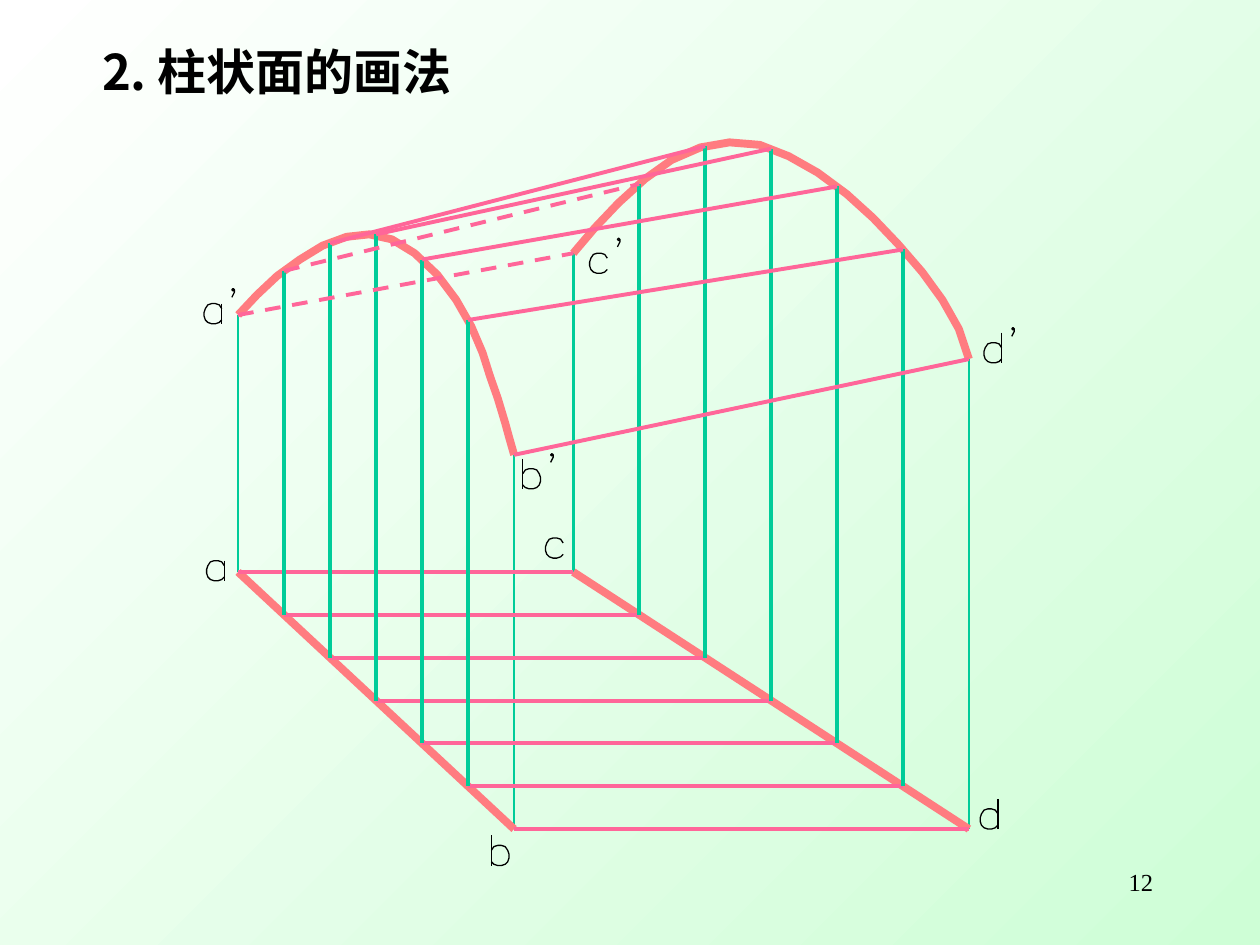
from lxml.etree import SubElement
from pptx import Presentation
from pptx.dml.color import RGBColor
from pptx.enum.dml import MSO_LINE
from pptx.enum.shapes import MSO_CONNECTOR
from pptx.enum.text import MSO_ANCHOR, PP_ALIGN
from pptx.oxml.ns import qn
from pptx.util import Inches, Pt

GREEN, PINK, CORAL, BLACK = "00CC99", "FF6699", "FF7C80", "000000"
STEPS = 6

# Plan corners and the heights of both arches above each station
A, B, C, D = (1.89, 4.54), (4.08, 6.58), (4.55, 4.54), (7.69, 6.58)
FRONT_TOPS = [2.5, 2.15, 1.93, 1.86, 2.06, 2.54, 3.61]
BACK_TOPS = [2.01, 1.46, 1.16, 1.18, 1.48, 1.98, 2.85]

FRONT_ARCH = [
    (1.89, 2.5), (2.04, 2.34), (2.2, 2.19), (2.38, 2.06), (2.56, 1.95),
    (2.75, 1.88), (2.93, 1.86), (3.11, 1.9), (3.29, 2.01), (3.47, 2.18),
    (3.62, 2.38), (3.74, 2.59), (3.83, 2.8), (3.89, 2.99), (3.95, 3.16),
    (4.01, 3.36), (4.04, 3.47), (4.08, 3.61)]
BACK_ARCH = [
    (4.55, 2.01), (4.72, 1.81), (4.91, 1.61), (5.12, 1.42), (5.33, 1.27),
    (5.56, 1.17), (5.79, 1.13), (6.03, 1.15), (6.26, 1.24), (6.49, 1.37),
    (6.72, 1.54), (6.93, 1.73), (7.13, 1.94), (7.32, 2.16), (7.48, 2.38),
    (7.61, 2.61), (7.69, 2.85)]

# Strokes of the single-line lettering, from the top left of the bowl
BOWL_W = 0.14
BOWL = [
    (0.14, 0.04), (0.12, 0.01), (0.09, 0), (0.06, 0), (0.03, 0.01),
    (0.01, 0.04), (0, 0.07), (0, 0.1), (0.01, 0.13), (0.03, 0.15),
    (0.06, 0.16), (0.09, 0.16), (0.12, 0.15), (0.14, 0.13)]
PRIME = [
    (0.24, -0.11), (0.23, -0.1), (0.22, -0.11), (0.23, -0.12),
    (0.24, -0.11), (0.24, -0.09), (0.23, -0.07), (0.22, -0.05)]
STEMS = {
    "a": [(BOWL_W, 0), (BOWL_W, 0.16)],
    "b": [(0, -0.08), (0, 0.16)],
    "d": [(BOWL_W, -0.08), (BOWL_W, 0.16)]}
LABELS = [
    ("a", 1.64, 4.45), ("b", 3.9, 6.71), ("c", 4.33, 4.27), ("d", 7.78, 6.42),
    ("a'", 1.62, 2.41), ("b'", 4.15, 3.72), ("c'", 4.68, 2.01),
    ("d'", 7.81, 2.72)]


def rgb(color):
    return RGBColor.from_string(color)


def set_background(s):
    fill = s.background.fill
    fill.gradient()
    fill.gradient_angle = 135
    for stop, color in zip(fill.gradient_stops, ("CEFED6", "FFFFFF")):
        stop.color.rgb = rgb(color)


def add_run(p, text, size, font, bold=False):
    r = p.add_run()
    r.text = text
    r.font.size = Pt(size)
    r.font.name = font
    r.font.bold = bold
    r.font.color.rgb = rgb(BLACK)
    SubElement(r.font._element, qn("a:ea")).set("typeface", font)


def add_title(s, text):
    sp = s.shapes.title
    sp.left, sp.top = Inches(0.71), Inches(0.25)
    sp.width, sp.height = Inches(8.5), Inches(0.63)
    tf = sp.text_frame
    tf.vertical_anchor = MSO_ANCHOR.MIDDLE
    p = tf.paragraphs[0]
    p.alignment = PP_ALIGN.LEFT
    add_run(p, text, 28, "Noto Sans CJK SC", bold=True)


def add_page_number(s, text):
    sp = s.shapes.add_textbox(Inches(7.17), Inches(6.83), Inches(2.08), Inches(0.5))
    tf = sp.text_frame
    tf.word_wrap = True
    p = tf.paragraphs[0]
    p.alignment = PP_ALIGN.RIGHT
    add_run(p, text, 14, "Times New Roman")


def add_line(s, start, end, color, width, dashed=False):
    ends = [Inches(v) for v in (*start, *end)]
    cn = s.shapes.add_connector(MSO_CONNECTOR.STRAIGHT, *ends)
    cn.line.color.rgb = rgb(color)
    cn.line.width = Pt(width)
    if dashed:
        cn.line.dash_style = MSO_LINE.DASH
    SubElement(cn._element.spPr, qn("a:effectLst"))


def add_curve(s, points, color, width):
    pts = [(Inches(x), Inches(y)) for x, y in points]
    fb = s.shapes.build_freeform(*pts[0])
    fb.add_line_segments(pts[1:], close=False)
    sp = fb.convert_to_shape()
    sp.fill.background()
    sp.line.color.rgb = rgb(color)
    sp.line.width = Pt(width)
    sp.shadow.inherit = False


def add_label(s, name, left, top):
    letter = name[0]
    bowl = [(BOWL_W - x, y) for x, y in BOWL] if letter == "b" else BOWL
    strokes = [bowl]
    if letter in STEMS:
        strokes.append(STEMS[letter])
    if name.endswith("'"):
        strokes.append(PRIME)
    for stroke in strokes:
        add_curve(s, [(left + x, top + y) for x, y in stroke], BLACK, 0)


def stations(start, end):
    """Points that divide a plan edge into equal steps."""
    (x0, y0), (x1, y1) = start, end
    return [(x0 + (x1 - x0) * i / STEPS, y0 + (y1 - y0) * i / STEPS)
            for i in range(STEPS + 1)]


def main():
    prs = Presentation()
    prs.slide_width, prs.slide_height = Inches(10), Inches(7.5)
    s = prs.slides.add_slide(prs.slide_layouts[5])
    set_background(s)
    add_title(s, "2. 柱状面的画法")

    front, back = stations(A, B), stations(C, D)
    front_tops = [(x, top) for (x, _), top in zip(front, FRONT_TOPS)]
    back_tops = [(x, top) for (x, _), top in zip(back, BACK_TOPS)]
    edges = [(front, front_tops), (back, back_tops)]

    # Outer projection lines, plan edges and arches
    for base, tops in edges:
        for i in (0, STEPS):
            add_line(s, base[i], tops[i], GREEN, 1.5)
        add_line(s, base[0], base[-1], CORAL, 4.5)
    for arch in (BACK_ARCH, FRONT_ARCH):
        add_curve(s, arch, CORAL, 4.5)

    # Point names
    for label in LABELS:
        add_label(s, *label)

    # Rulings in plan
    for start, end in zip(front, back):
        add_line(s, start, end, PINK, 2.25)

    # Inner projection lines
    for base, tops in reversed(edges):
        for foot, top in zip(base[1:-1], tops[1:-1]):
            add_line(s, foot, top, GREEN, 2.25)

    # Rulings in elevation, the first two hidden
    for i, (start, end) in enumerate(zip(front_tops, back_tops)):
        add_line(s, start, end, PINK, 2.25, dashed=i < 2)

    add_page_number(s, "12")
    prs.save("out.pptx")


if __name__ == "__main__":
    main()
